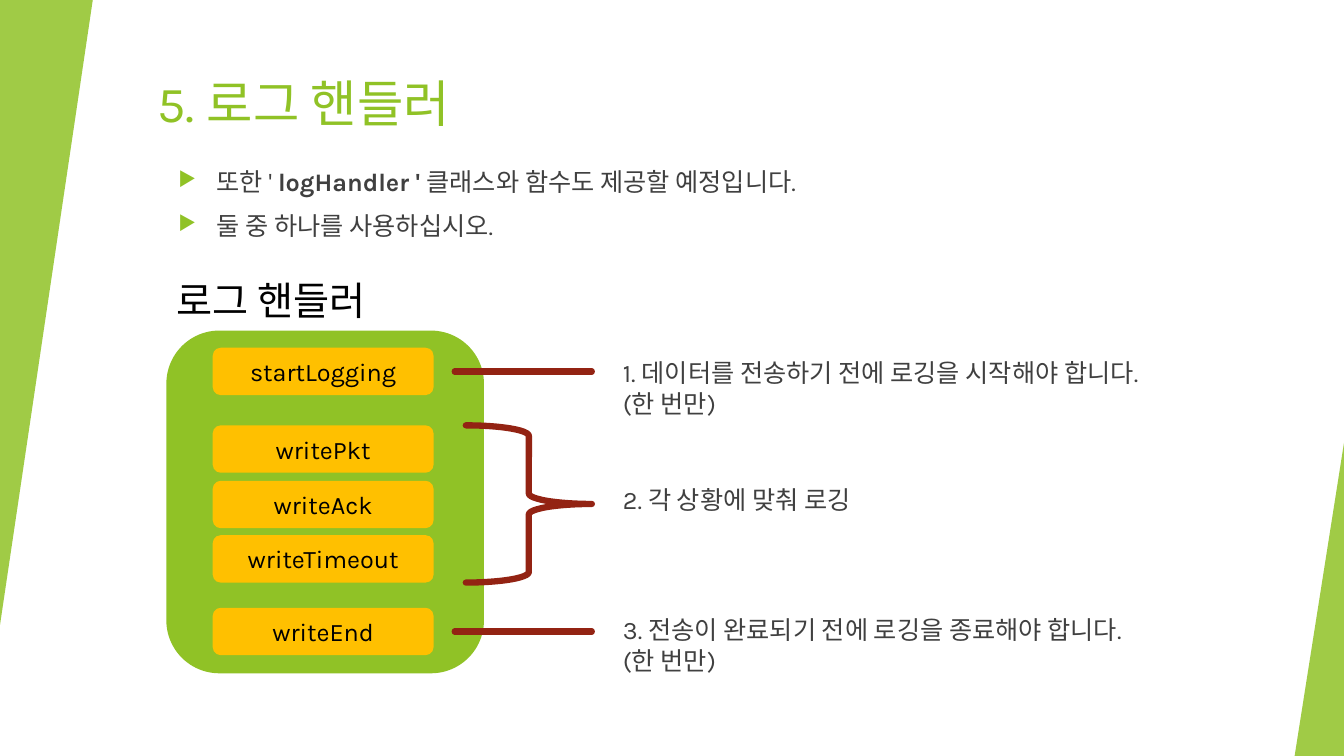
import pptx
import pptx.util
import pptx.dml.color
import pptx.enum.shapes
import pptx.enum.text
import pptx.oxml.ns
import lxml.etree

Inches = pptx.util.Inches
Pt = pptx.util.Pt
SHAPES = pptx.enum.shapes.MSO_SHAPE
ALIGN = pptx.enum.text.PP_ALIGN
ANCHOR = pptx.enum.text.MSO_ANCHOR
qn = pptx.oxml.ns.qn

FONT = "Karla"
COLORS = {"green": "90C226", "amber": "FFC000", "red": "932313",
          "gray": "404040", "black": "000000"}

# Function boxes: name and top
BOX_HEIGHT = 0.47
FUNCTIONS = [("startLogging", 3.45), ("writePkt", 4.22), ("writeAck", 4.77),
             ("writeTimeout", 5.31), ("writeEnd", 6.03)]

# Steps: top, height and lines
STEPS = [
    (3.5, 0.73, ["1. 데이터를 전송하기 전에 로깅을 시작해야 합니다.", "(한 번만)"]),
    (4.76, 0.84, ["2. 각 상황에 맞춰 로깅"]),
    (6.05, 0.73, ["3. 전송이 완료되기 전에 로깅을 종료해야 합니다.", "(한 번만)"]),
]

BULLETS = [
    [("또한 ' ", False), ("logHandler ' ", True), ("클래스와 함수도 제공할 예정입니다.", False)],
    [("둘 중 하나를 사용하십시오.", False)],
]


def rgb(color):
    return pptx.dml.color.RGBColor.from_string(COLORS[color])


def add_run(paragraph, text, size, color, bold=False):
    run = paragraph.add_run()
    run.text = text
    run.font.name = FONT
    run.font.size = Pt(size)
    run.font.bold = bold
    run.font.color.rgb = rgb(color)


def add_text_box(slide, left, top, width, height, wrap=True):
    box = slide.shapes.add_textbox(Inches(left), Inches(top), Inches(width), Inches(height))
    box.text_frame.word_wrap = wrap
    return box.text_frame


def add_filled_shape(slide, kind, left, top, width, height, color):
    shape = slide.shapes.add_shape(kind, Inches(left), Inches(top), Inches(width), Inches(height))
    shape.shadow.inherit = False
    shape.fill.solid()
    shape.fill.fore_color.rgb = rgb(color)
    shape.line.fill.background()
    return shape


def add_edge_triangle(slide, left, top, width, height, rotation=0):
    """Translucent right-angled triangle along a slide edge."""
    triangle = add_filled_shape(slide, SHAPES.ISOSCELES_TRIANGLE, left, top, width, height, "green")
    triangle.adjustments[0] = 1
    triangle.rotation = rotation
    color = triangle.element.spPr.find(qn("a:solidFill")).find(qn("a:srgbClr"))
    lxml.etree.SubElement(color, qn("a:alpha"), val="85000")


def style_stroke(shape):
    shape.line.color.rgb = rgb("red")
    shape.line.width = Pt(4.5)
    shape.element.spPr.find(qn("a:ln")).set("cap", "rnd")


def add_link(slide, y):
    link = slide.shapes.add_connector(pptx.enum.shapes.MSO_CONNECTOR.STRAIGHT,
                                      Inches(4.51), Inches(y), Inches(5.87), Inches(y))
    style_stroke(link)
    lxml.etree.SubElement(link.element.spPr, qn("a:effectLst"))


def add_brace(slide, left, top, width, height):
    brace = slide.shapes.add_shape(SHAPES.RIGHT_BRACE, Inches(left), Inches(top),
                                   Inches(width), Inches(height))
    brace.shadow.inherit = False
    brace.fill.background()
    style_stroke(brace)


def set_bullet(paragraph):
    properties = paragraph._p.get_or_add_pPr()
    indent = Inches(0.38)
    properties.set("marL", str(indent))
    properties.set("indent", str(-indent))
    bullet_color = lxml.etree.SubElement(properties, qn("a:buClr"))
    lxml.etree.SubElement(bullet_color, qn("a:srgbClr"), val=COLORS["green"])
    lxml.etree.SubElement(properties, qn("a:buSzPct"), val="80000")
    lxml.etree.SubElement(properties, qn("a:buChar"), char="▶")


def add_title(slide, text):
    title = slide.shapes.title
    title.left, title.top = Inches(1.46), Inches(0.67)
    title.width, title.height = Inches(9.4), Inches(1.44)
    frame = title.text_frame
    frame.auto_size = pptx.enum.text.MSO_AUTO_SIZE.NONE
    frame.vertical_anchor = ANCHOR.TOP
    frame.paragraphs[0].alignment = ALIGN.LEFT
    add_run(frame.paragraphs[0], text, 36, "green")


def add_bullets(slide):
    frame = add_text_box(slide, 1.67, 1.6, 9.72, 0.84)
    for index, runs in enumerate(BULLETS):
        paragraph = frame.add_paragraph() if index else frame.paragraphs[0]
        paragraph.space_before = Pt(10)
        set_bullet(paragraph)
        for text, bold in runs:
            add_run(paragraph, text, 18, "gray", bold)


def add_function_box(slide, name, top):
    box = add_filled_shape(slide, SHAPES.ROUNDED_RECTANGLE, 2.11, top, 2.19, BOX_HEIGHT, "amber")
    box.text_frame.vertical_anchor = ANCHOR.MIDDLE
    paragraph = box.text_frame.paragraphs[0]
    paragraph.alignment = ALIGN.CENTER
    add_run(paragraph, name, 18, "black")


def add_step(slide, top, height, lines):
    paragraph = add_text_box(slide, 6.08, top, 6.52, height).paragraphs[0]
    paragraph.space_before = Pt(10)
    for index, line in enumerate(lines):
        if index:
            paragraph.add_line_break()
        add_run(paragraph, line, 18, "gray")


def main():
    presentation = pptx.Presentation()
    presentation.slide_width = Inches(13.33)
    presentation.slide_height = Inches(7.5)
    slide = presentation.slides.add_slide(presentation.slide_layouts.get_by_name("Title Only"))

    # Edge decoration
    add_edge_triangle(slide, 0, 0, 0.92, 6.2, rotation=180)
    add_edge_triangle(slide, 12.84, 4.39, 0.49, 3.11)

    # Title and introduction
    add_title(slide, "5. 로그 핸들러")
    add_bullets(slide)

    # Log handler and its functions
    heading = add_text_box(slide, 1.65, 2.69, 2.1, 0.57, wrap=False)
    heading.auto_size = pptx.enum.text.MSO_AUTO_SIZE.SHAPE_TO_FIT_TEXT
    add_run(heading.paragraphs[0], "로그 핸들러", 28, "black")
    add_filled_shape(slide, SHAPES.ROUNDED_RECTANGLE, 1.65, 3.28, 3.15, 3.4, "green")
    for name, top in FUNCTIONS:
        add_function_box(slide, name, top)

    # Links from the functions to the steps
    for name, top in (FUNCTIONS[0], FUNCTIONS[-1]):
        add_link(slide, top + BOX_HEIGHT / 2)
    first_write, last_write = FUNCTIONS[1][1], FUNCTIONS[3][1]
    add_brace(slide, 4.62, first_write, 1.25, last_write + BOX_HEIGHT - first_write)

    # Steps
    for top, height, lines in STEPS:
        add_step(slide, top, height, lines)

    presentation.save("out.pptx")


if __name__ == "__main__":
    main()
